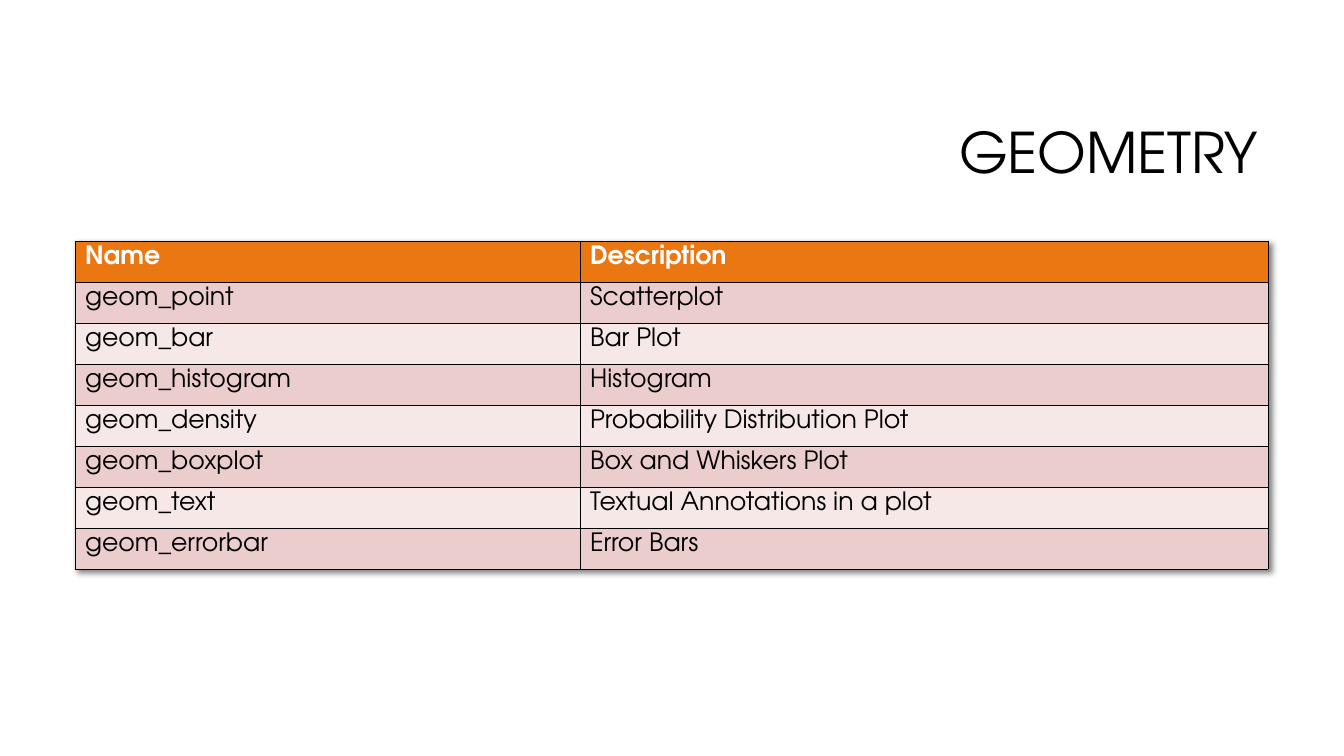
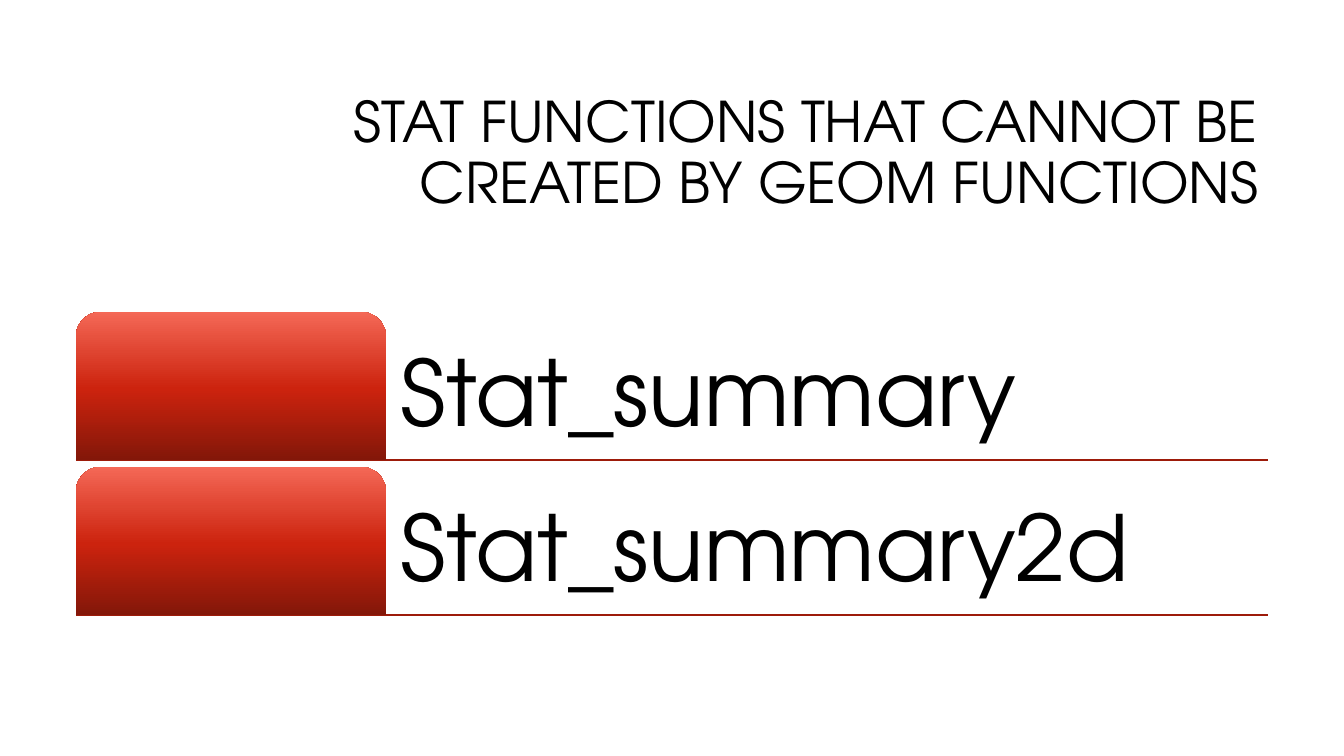
from dataclasses import dataclass

from pptx import Presentation
from pptx.dml.color import RGBColor
from pptx.enum.shapes import MSO_CONNECTOR as Connector, MSO_SHAPE as Preset
from pptx.enum.text import MSO_ANCHOR as Anchor, PP_ALIGN as Align
from pptx.oxml import parse_xml
from pptx.oxml.ns import nsdecls
from pptx.util import Emu, Pt

SLIDE_W, SLIDE_H = 1344, 756
EMU_PER_PX = 12192000 / SLIDE_W


@dataclass(frozen=True)
class Theme:
    font: str = "TeX Gyre Adventor"
    ink: str = "000000"
    paper: str = "FFFFFF"
    header: str = "EB7712"
    bands: tuple = ("EACDCC", "F5E8E7")
    rule: str = "9D1B0A"
    tab_stops: tuple = ((0, "831709"), (48, "CC230E"), (100, "F46856"))
    title_size: int = 40
    table_size: int = 18
    item_size: int = 65
    line_width: float = 0.75
    tight: float = 0.9


THEME = Theme()

# Regions as left, top, width, height in px
TITLE_BOX = (319, 84, 949, 142)
TABLE_BOX = (75, 241, 1193, 328)
LIST_BOX = (76, 312, 1192, 303)

GEOMETRIES = [
    ("Name", "Description"),
    ("geom_point", "Scatterplot"),
    ("geom_bar", "Bar Plot"),
    ("geom_histogram", "Histogram"),
    ("geom_density", "Probability Distribution Plot"),
    ("geom_boxplot", "Box and Whiskers Plot"),
    ("geom_text", "Textual Annotations in a plot"),
    ("geom_errorbar", "Error Bars"),
]
STAT_FUNCTIONS = ["Stat_summary", "Stat_summary2d"]


def px(length):
    return Emu(round(length * EMU_PER_PX))


def place(box):
    return [px(length) for length in box]


def apply(target, formats):
    for name, value in formats.items():
        setattr(target, name, value)


def write(frame, text, size, color=THEME.ink, bold=False, frame_format=None, **paragraph_format):
    """Fill a text frame with one styled paragraph."""
    apply(frame, {"word_wrap": True, **(frame_format or {})})
    paragraph = frame.paragraphs[0]
    apply(paragraph, paragraph_format)
    run = paragraph.add_run()
    run.text = text
    apply(run.font, {"name": THEME.font, "size": Pt(size), "bold": bold})
    run.font.color.rgb = RGBColor.from_string(color)


def add_title(slide, text, box=TITLE_BOX):
    title = slide.shapes.add_textbox(*place(box))
    write(title.text_frame, text, THEME.title_size,
          frame_format={"vertical_anchor": Anchor.MIDDLE},
          alignment=Align.RIGHT, line_spacing=THEME.tight)


# Table of geometries
def add_borders(cell):
    properties = cell._tc.get_or_add_tcPr()
    for side in "LRTB":
        properties.append(parse_xml(
            f'<a:ln{side} {nsdecls("a")} w="{Pt(THEME.line_width)}"><a:solidFill>'
            f'<a:srgbClr val="{THEME.ink}"/></a:solidFill></a:ln{side}>'))


def add_table_shadow(frame):
    frame.element.xpath(".//a:tblPr")[0].insert(0, parse_xml(
        f'<a:effectLst {nsdecls("a")}><a:outerShdw blurRad="{Pt(4)}" dist="{Pt(3)}" '
        f'dir="2700000" algn="tl" rotWithShape="0"><a:srgbClr val="{THEME.ink}">'
        '<a:alpha val="50000"/></a:srgbClr></a:outerShdw></a:effectLst>'))


def add_geometry_table(slide, entries, box=TABLE_BOX, name_width=505, inset=5):
    left, top, width, height = box
    frame = slide.shapes.add_table(len(entries), 2, *place(box))
    add_table_shadow(frame)
    table = frame.table
    table.horz_banding = False
    for column, column_width in zip(table.columns, (name_width, width - name_width)):
        column.width = px(column_width)
    for row_index, (row, entry) in enumerate(zip(table.rows, entries)):
        row.height = px(height / len(entries))
        is_header = row_index == 0
        fill = THEME.header if is_header else THEME.bands[(row_index - 1) % 2]
        for cell, text in zip(row.cells, entry):
            apply(cell, {"margin_top": px(inset), "margin_bottom": px(inset)})
            add_borders(cell)
            cell.fill.solid()
            cell.fill.fore_color.rgb = RGBColor.from_string(fill)
            write(cell.text_frame, text, THEME.table_size,
                  THEME.paper if is_header else THEME.ink, is_header)


# List of functions, each with a tab and a rule below
def add_rule(slide, left, right, y):
    rule = slide.shapes.add_connector(Connector.STRAIGHT, px(left), px(y), px(right), px(y))
    rule.line.width = Pt(THEME.line_width)
    rule.line.color.rgb = RGBColor.from_string(THEME.rule)
    rule.element.spPr.append(parse_xml(f'<a:effectLst {nsdecls("a")}/>'))


def add_tab(slide, box):
    tab = slide.shapes.add_shape(Preset.ROUND_2_SAME_RECTANGLE, *place(box))
    tab.shadow.inherit = False
    tab.line.fill.background()
    tab.adjustments[0] = 0.167
    stops = "".join(f'<a:gs pos="{percent * 1000}"><a:srgbClr val="{color}"/></a:gs>'
                    for percent, color in THEME.tab_stops)
    tab.element.spPr.xpath("./a:prstGeom")[0].addnext(parse_xml(
        f'<a:gradFill {nsdecls("a")} rotWithShape="1"><a:gsLst>{stops}</a:gsLst>'
        '<a:lin ang="16200000" scaled="0"/></a:gradFill>'))


def add_function_list(slide, names, box=LIST_BOX, gap=7, tab_width=310, inset=14):
    left, top, width, height = box
    item_height = (height - gap * (len(names) - 1)) / len(names)
    margins = {f"margin_{side}": px(inset) for side in ("left", "right", "top", "bottom")}
    for index, name in enumerate(names):
        item_top = top + index * (item_height + gap)
        add_rule(slide, left, left + width, item_top + item_height)
        label = slide.shapes.add_textbox(
            *place((left + tab_width, item_top, width - tab_width, item_height)))
        write(label.text_frame, name, THEME.item_size,
              frame_format={"vertical_anchor": Anchor.BOTTOM, **margins},
              line_spacing=THEME.tight)
        add_tab(slide, (left, item_top, tab_width, item_height))


def main():
    deck = Presentation()
    apply(deck, {"slide_width": px(SLIDE_W), "slide_height": px(SLIDE_H)})
    blank = deck.slide_layouts[6]
    pages = [
        ("GEOMETRY", add_geometry_table, GEOMETRIES),
        ("STAT FUNCTIONS THAT CANNOT BE CREATED BY GEOM FUNCTIONS",
         add_function_list, STAT_FUNCTIONS),
    ]
    for title, add_body, content in pages:
        slide = deck.slides.add_slide(blank)
        add_title(slide, title)
        add_body(slide, content)
    deck.save("out.pptx")


if __name__ == "__main__":
    main()
